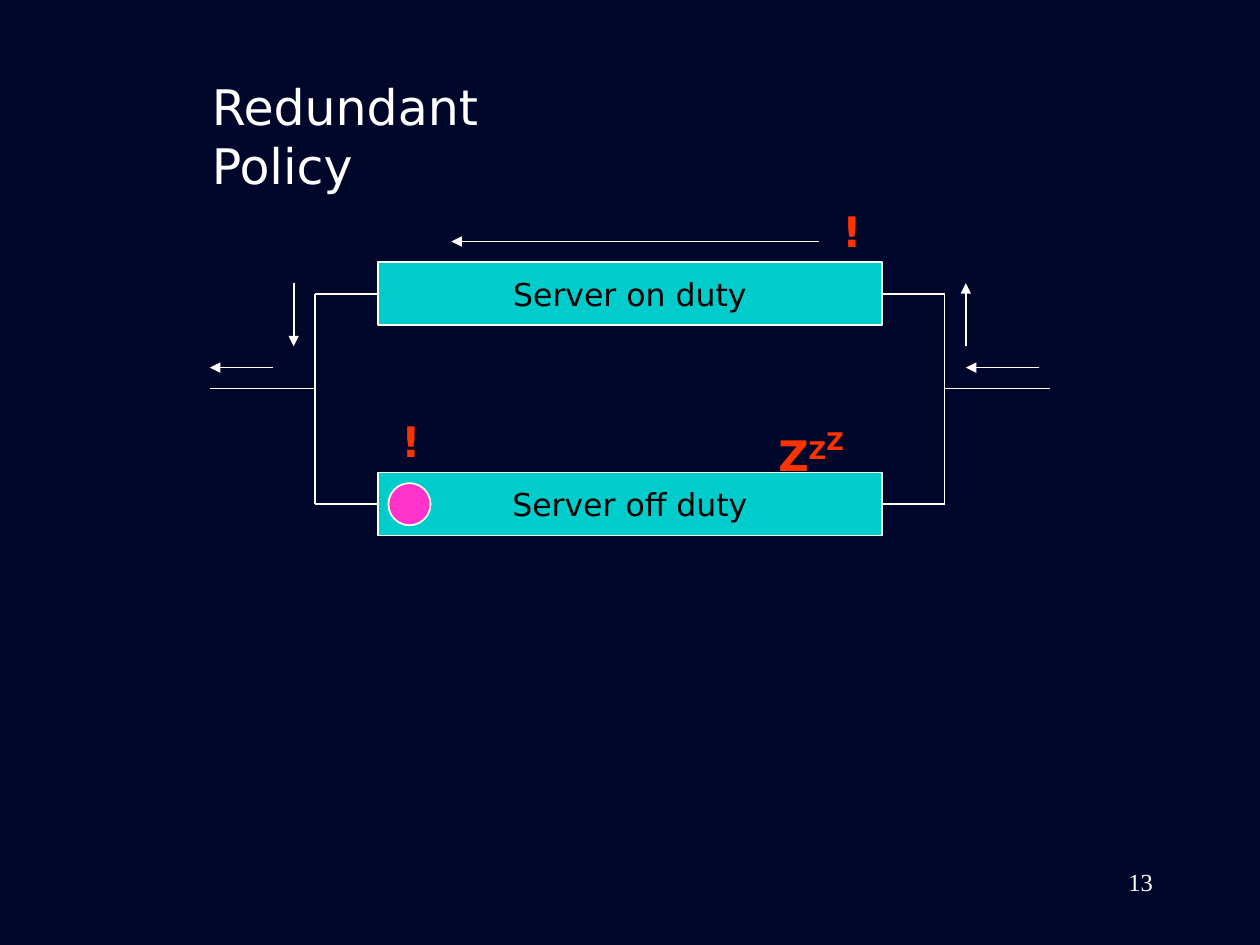
from collections import namedtuple

import pptx
import pptx.dml.color
import pptx.enum.shapes
import pptx.enum.text
import pptx.oxml
import pptx.oxml.ns
import pptx.util

Cm = pptx.util.Cm
ALIGN = pptx.enum.text.PP_ALIGN
SHAPES = pptx.enum.shapes.MSO_SHAPE
Box = namedtuple("Box", "left top width height")


class Theme:
    background, ink, server_text = "00072A", "FFFFFF", "000000"
    server, job, alert = "00CCCC", "FF33CC", "FF3300"
    sans, serif = "DejaVu Sans", "Times New Roman"
    title_size, mark_size, server_size, number_size = 28, 24, 18, 14
    line_width = 1


def rgb(value):
    return pptx.dml.color.RGBColor.from_string(value)


def write(frame, words, size, color, font=Theme.sans, bold=False,
          align=ALIGN.LEFT):
    """Write one paragraph; words are (text, raise in percent) pairs."""
    para = frame.paragraphs[0]
    para.alignment = align
    formats = {"size": pptx.util.Pt(size), "name": font, "bold": bold}
    for text, lift in words:
        span = para.add_run()
        span.text = text
        for name, value in formats.items():
            setattr(span.font, name, value)
        span.font.color.rgb = rgb(color)
        if lift:
            span.font._element.set("baseline", str(lift * 1000))


def add_text(page, box, words, size, color, wrap=True, **style):
    frame = page.shapes.add_textbox(*map(Cm, box)).text_frame
    frame.word_wrap = wrap
    write(frame, words, size, color, **style)


def style_line(line):
    line.color.rgb = rgb(Theme.ink)
    line.width = pptx.util.Pt(Theme.line_width)


def add_filled(page, kind, box, color):
    shape = page.shapes.add_shape(kind, *map(Cm, box))
    shape.shadow.inherit = False
    shape.fill.solid()
    shape.fill.fore_color.rgb = rgb(color)
    style_line(shape.line)
    return shape


def add_line(page, box, start, end, arrow=False):
    """Draw a line between two points relative to the box."""
    points = [Cm(origin + offset) for point in (start, end)
              for origin, offset in zip((box.left, box.top), point)]
    line = page.shapes.add_connector(
        pptx.enum.shapes.MSO_CONNECTOR.STRAIGHT, *points)
    style_line(line.line)
    if arrow:
        head = pptx.oxml.parse_xml(
            f'<a:tailEnd {pptx.oxml.ns.nsdecls("a")} type="triangle"/>')
        line.line._get_or_add_ln().append(head)
    line._element.spPr.append(pptx.oxml.parse_xml(
        f'<a:effectLst {pptx.oxml.ns.nsdecls("a")}/>'))
    return line


def add_circuit(page, box):
    """Two parallel servers, their wiring, the flow arrows and the marks."""
    server_left, server_width, server_height = 3.39, 10.16, 1.27
    left_rail, right_rail = 2.12, box.width - 2.12
    levels = (1.9, 6.14)
    middle = 3.81

    # Servers, each wired to both rails
    for label, level in zip(("Server on duty", "Server off duty"), levels):
        place = Box(box.left + server_left,
                    box.top + level - server_height / 2,
                    server_width, server_height)
        server = add_filled(page, SHAPES.RECTANGLE, place, Theme.server)
        server.text_frame.word_wrap = False
        server.text_frame.vertical_anchor = pptx.enum.text.MSO_ANCHOR.MIDDLE
        write(server.text_frame, [(label, 0)], Theme.server_size,
              Theme.server_text, align=ALIGN.CENTER)
        for side, edge, rail in ((1, server_left, left_rail),
                                 (3, server_left + server_width, right_rail)):
            wire = add_line(page, box, (edge, level), (rail, level))
            wire.begin_connect(server, side)

    # Rails and outer leads
    for rail, outer in ((left_rail, 0), (right_rail, box.width)):
        add_line(page, box, (rail, levels[0]), (rail, levels[1]))
        add_line(page, box, (outer, middle), (rail, middle))

    # Job waiting at the off-duty server
    add_filled(page, SHAPES.OVAL,
               Box(box.left + 3.6, box.top + 5.72, 0.85, 0.85), Theme.job)

    # Flow arrows, from entry to exit
    for start, end in (((16.72, 3.39), (15.24, 3.39)),
                       ((15.24, 2.96), (15.24, 1.69)),
                       ((12.28, 0.85), (4.87, 0.85)),
                       ((1.69, 1.69), (1.69, 2.96)),
                       ((1.27, 3.39), (0, 3.39))):
        add_line(page, box, start, end, arrow=True)

    # Alert and sleep marks
    alert = [("!", 0)]
    sleep = [("Z", 0), ("Z", 30), ("Z", 50)]
    for x, y, width, words in ((12.5, 0, 0.81, alert),
                               (3.61, 4.23, 0.81, alert),
                               (11.21, 4.45, 2.29, sleep)):
        add_text(page, Box(box.left + x, box.top + y, width, 1.27), words,
                 Theme.mark_size, Theme.alert, wrap=words is sleep, bold=True)


def add_title(page, box):
    add_text(page, box, [("Redundant Policy", 0)], Theme.title_size, Theme.ink)


def add_page_number(page, box):
    add_text(page, box, [("13", 0)], Theme.number_size, Theme.ink,
             font=Theme.serif, align=ALIGN.RIGHT)


def main():
    deck = pptx.Presentation()
    deck.slide_width, deck.slide_height = Cm(25.4), Cm(19.05)
    page = deck.slides.add_slide(deck.slide_layouts[6])
    page.background.fill.solid()
    page.background.fill.fore_color.rgb = rgb(Theme.background)
    add_title(page, Box(4.02, 1.42, 8.56, 1.45))
    add_circuit(page, Box(4.23, 4.02, 16.93, 6.77))
    add_page_number(page, Box(18.21, 17.35, 5.28, 1.27))
    deck.save("out.pptx")


if __name__ == "__main__":
    main()
